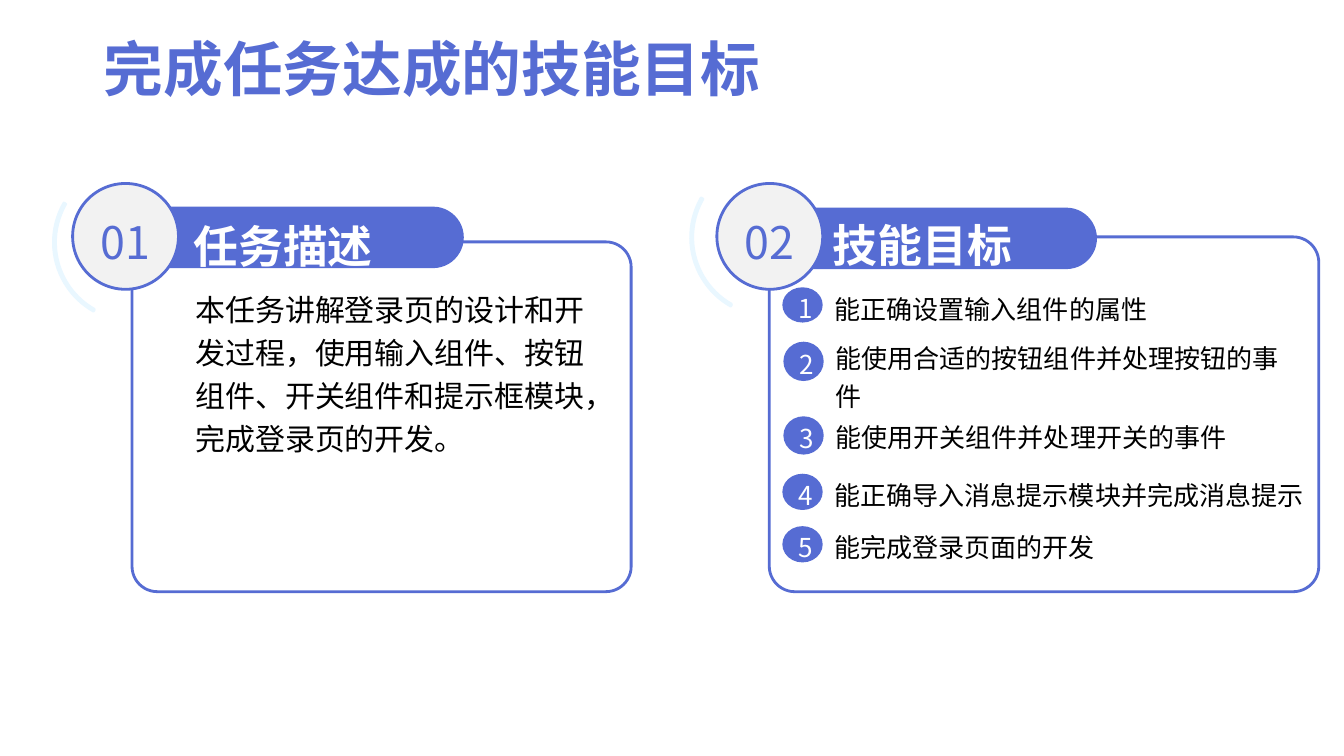
from pptx import Presentation
from pptx.dml.color import RGBColor
from pptx.enum.shapes import MSO_SHAPE as SHAPE
from pptx.enum.text import MSO_ANCHOR as ANCHOR, MSO_AUTO_SIZE as AUTO, PP_ALIGN as ALIGN
from pptx.util import Pt

PX = 9144  # 100 px to the inch
FONT = "Noto Sans CJK SC"
BLUE, GREY, PALE, WHITE, BLACK = "566CD3", "F2F2F2", "E9F7FF", "FFFFFF", "000000"

prs = Presentation()
prs.slide_width, prs.slide_height = 1333 * PX, 750 * PX
s = prs.slides.add_slide(prs.slide_layouts[6])


def add_text(parent, box, text, size, color=BLACK, bold=False, margin=None,
             anchor=ANCHOR.TOP, align=ALIGN.LEFT, grow=False, sp=None):
    """Write text into sp, or into a new text box."""
    if sp is None:
        sp = parent.add_textbox(*[v * PX for v in box])
    tf = sp.text_frame
    tf.word_wrap = True
    tf.vertical_anchor = anchor
    if grow:
        tf.auto_size = AUTO.SHAPE_TO_FIT_TEXT
    if margin is not None:
        tf.margin_left = tf.margin_right = tf.margin_top = tf.margin_bottom = margin
    p = tf.paragraphs[0]
    p.alignment, p.line_spacing = align, 1.2
    r = p.add_run()
    r.text = text
    r.font.name, r.font.size, r.font.bold = FONT, Pt(size), bold
    r.font.color.rgb = RGBColor.from_string(color)


def add_box(parent, kind, box, fill=None, line=None, adj=()):
    sp = parent.add_shape(kind, *[v * PX for v in box])
    sp.shadow.inherit = False
    for i, value in enumerate(adj):
        sp.adjustments[i] = value
    if fill:
        sp.fill.solid()
        sp.fill.fore_color.rgb = RGBColor.from_string(fill)
    else:
        sp.fill.background()
    if line:
        sp.line.color.rgb = RGBColor.from_string(line)
        sp.line.width = Pt(2)
    else:
        sp.line.fill.background()
    return sp


# Title
add_text(s.shapes, (103, 17, 738, 86), "完成任务达成的技能目标", 42.6, BLUE,
         bold=True, margin=0, grow=True)

# Panels: frame, heading bar, numbered circle, arc, heading
panels = [
    ("01", "任务描述", (131, 240, 495, 347), (135, 205), 72, (53, 162), (182, 210, 267, 56)),
    ("02", "技能目标", (763, 235, 545, 352), (763, 206), 711, (685, 157), (816, 207, 246, 61)),
]
for number, heading, frame, bar, circle_x, arc, heading_box in panels:
    add_box(s.shapes, SHAPE.ROUNDED_RECTANGLE, frame, line=BLUE, adj=[0.072])
    add_box(s.shapes, SHAPE.ROUNDED_RECTANGLE, (*bar, 325, 61), BLUE, adj=[0.5])
    circle = add_box(s.shapes, SHAPE.OVAL, (circle_x, 182, 105, 105), GREY, BLUE)
    add_text(s.shapes, None, number, 32, BLUE, anchor=ANCHOR.MIDDLE,
             align=ALIGN.CENTER, sp=circle)
    ring = add_box(s.shapes, SHAPE.BLOCK_ARC, (*arc, 157, 157), PALE, PALE,
                   adj=[54.404, 108.477, 0.013])
    ring.rotation = 29
    add_text(s.shapes, heading_box, heading, 32, WHITE, bold=True, anchor=ANCHOR.MIDDLE)

# Task description
add_text(s.shapes, (184, 277, 418, 183),
         "本任务讲解登录页的设计和开发过程，使用输入组件、按钮组件、开关组件和提示框模块，完成登录页的开发。",
         21.4, grow=True)

# Skill goals: text, text box, badge left, top and height
goals = [
    ("能正确设置输入组件的属性", (818, 280, 419, 48), 776, 285, 35),
    ("能使用合适的按钮组件并处理按钮的事件", (819, 329, 466, 85), 777, 339, 39),
    ("能使用开关组件并处理开关的事件", (819, 407, 444, 48), 777, 413, 38),
    ("能正确导入消息提示模块并完成消息提示", (818, 465, 500, 48), 776, 470, 36),
    ("能完成登录页面的开发", (818, 516, 500, 48), 776, 522, 36),
]
for n, (goal, box, x, y, h) in enumerate(goals, 1):
    group = s.shapes.add_group_shape().shapes
    add_text(group, box, goal, 18.6, grow=True)
    badge = add_box(group, SHAPE.OVAL, (x, y, 40, h), BLUE)
    add_text(group, None, str(n), 18.6, WHITE, anchor=ANCHOR.MIDDLE,
             align=ALIGN.CENTER, sp=badge)

prs.save("out.pptx")
